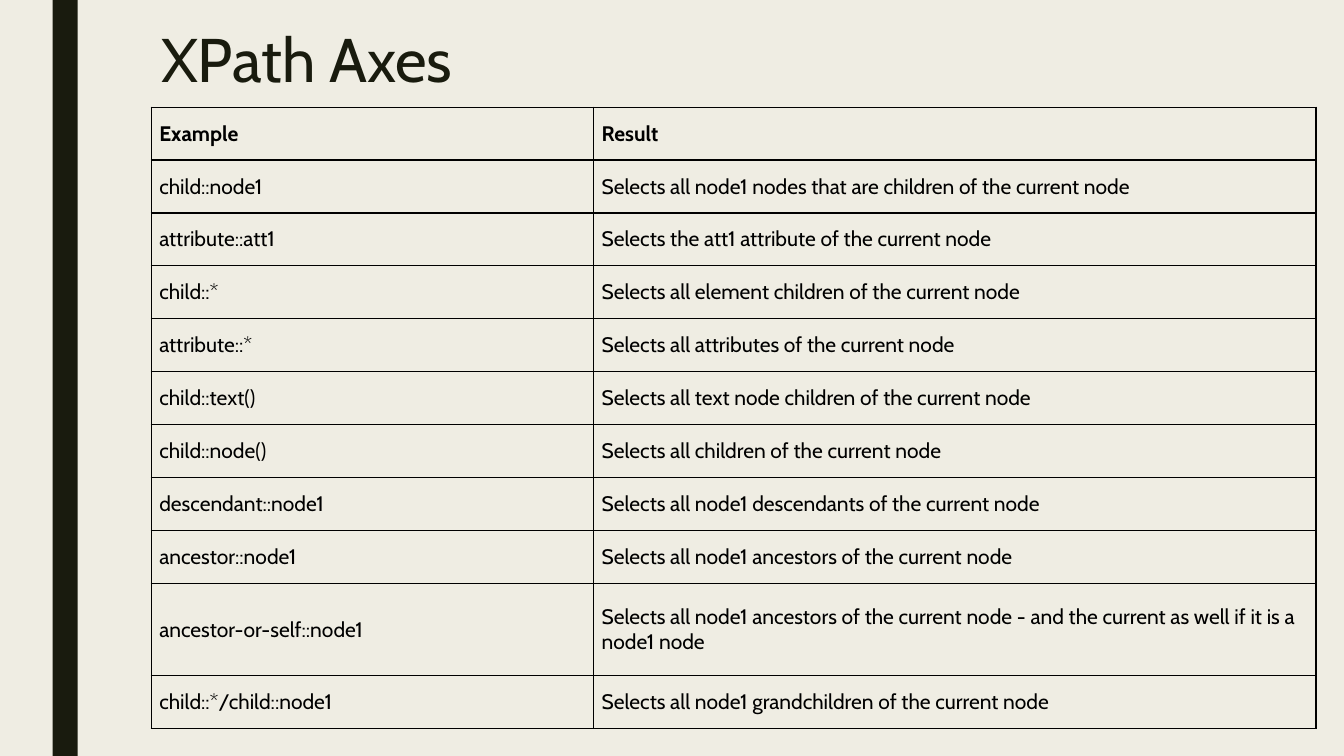
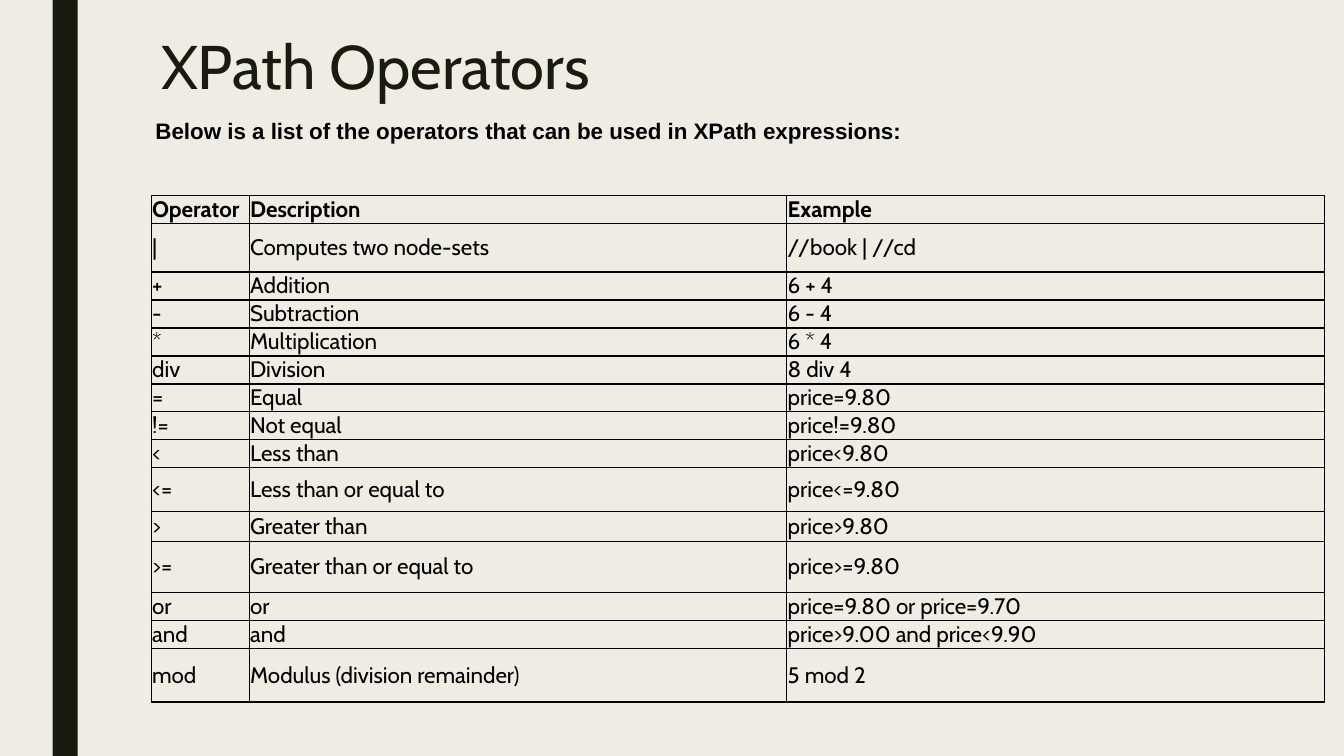
from lxml import etree
from pptx import Presentation
from pptx.dml.color import RGBColor
from pptx.enum.shapes import MSO_SHAPE
from pptx.enum.text import MSO_ANCHOR
from pptx.oxml.ns import qn
from pptx.util import Pt

RECT = MSO_SHAPE.RECTANGLE
TOP, MID = MSO_ANCHOR.TOP, MSO_ANCHOR.MIDDLE

# Shared look
WIDE, HIGH = 960, 540
PAPER, DARK, BLACK = "EFEDE3", "191B0E", "000000"
LEFT = 108
TITLE = {"name": "Cabin", "size": Pt(44), "bold": False}
NOTE = {"name": "Arial", "size": Pt(16), "bold": True}

# Content: "tall" lists the rows that differ from the usual height
AXES = {
    "title": "XPath Axes", "title_y": 18, "note": None,
    "top": 76.5, "cols": (316, 516), "row": 37.8, "tall": {9: 66.2},
    "size": 15, "pad": (5.8, 2.9),
    "rows": [
        ("Example", "Result"),
        ("child::node1", "Selects all node1 nodes that are children of the current node"),
        ("attribute::att1", "Selects the att1 attribute of the current node"),
        ("child::*", "Selects all element children of the current node"),
        ("attribute::*", "Selects all attributes of the current node"),
        ("child::text()", "Selects all text node children of the current node"),
        ("child::node()", "Selects all children of the current node"),
        ("descendant::node1", "Selects all node1 descendants of the current node"),
        ("ancestor::node1", "Selects all node1 ancestors of the current node"),
        ("ancestor-or-self::node1", "Selects all node1 ancestors of the current node"
         " - and the current as well if it is a node1 node"),
        ("child::*/child::node1", "Selects all node1 grandchildren of the current node"),
    ],
}
OPS = {
    "title": "XPath Operators", "title_y": 23,
    "note": "Below is a list of the operators that can be used in XPath expressions:",
    "top": 139.8, "cols": (70, 384, 384), "row": 20,
    "tall": {1: 34.5, 9: 31, 10: 21.5, 11: 36.5, 14: 38.3},
    "size": 16, "pad": (0.7, 0),
    "rows": [
        ("Operator", "Description", "Example"),
        ("|", "Computes two node-sets", "//book | //cd"),
        ("+", "Addition", "6 + 4"),
        ("-", "Subtraction", "6 - 4"),
        ("*", "Multiplication", "6 * 4"),
        ("div", "Division", "8 div 4"),
        ("=", "Equal", "price=9.80"),
        ("!=", "Not equal", "price!=9.80"),
        ("<", "Less than", "price<9.80"),
        ("<=", "Less than or equal to", "price<=9.80"),
        (">", "Greater than", "price>9.80"),
        (">=", "Greater than or equal to", "price>=9.80"),
        ("or", "or", "price=9.80 or price=9.70"),
        ("and", "and", "price>9.00 and price<9.90"),
        ("mod", "Modulus (division remainder)", "5 mod 2"),
    ],
}


def paint(fill, color):
    fill.solid()
    fill.fore_color.rgb = RGBColor.from_string(color)


def style(obj, form):
    for key, val in form.items():
        setattr(obj, key, val)


def write(para, text, form, color):
    run = para.add_run()
    run.text = text
    style(run.font, form)
    paint(run.font.fill, color)


def add_text(slide, box, text, form, color, anchor, space=1.0):
    frame = slide.shapes.add_textbox(*map(Pt, box)).text_frame
    style(frame, {"word_wrap": True, "vertical_anchor": anchor})
    para = frame.paragraphs[0]
    para.line_spacing = space
    write(para, text, form, color)


def frame_cell(cell):
    """Give a cell a clear fill and thin black edges."""
    cell.fill.background()
    props = cell._tc.get_or_add_tcPr()
    for spot, side in enumerate(("lnL", "lnR", "lnT", "lnB")):
        line = etree.Element(qn("a:" + side), w=str(Pt(1)))
        fill = etree.SubElement(line, qn("a:solidFill"))
        etree.SubElement(fill, qn("a:srgbClr"), val=BLACK)
        props.insert(spot, line)


def add_grid(slide, page):
    rows, cols = page["rows"], page["cols"]
    highs = [page["tall"].get(i, page["row"]) for i in range(len(rows))]
    box = LEFT, page["top"], sum(cols), sum(highs)
    grid = slide.shapes.add_table(len(rows), len(cols), *map(Pt, box)).table
    style(grid, {"first_row": False, "horz_banding": False})
    for col, wide in zip(grid.columns, cols):
        col.width = Pt(wide)
    side, edge = map(Pt, page["pad"])
    form = {"margin_left": side, "margin_right": side, "margin_top": edge,
            "margin_bottom": edge, "vertical_anchor": MID}
    for r, texts in enumerate(rows):
        grid.rows[r].height = Pt(highs[r])
        font = {"name": "Cabin", "size": Pt(page["size"]), "bold": r == 0}
        for c, text in enumerate(texts):
            cell = grid.cell(r, c)
            style(cell, form)
            frame_cell(cell)
            write(cell.text_frame.paragraphs[0], text, font, BLACK)


def set_master(master, slide):
    """Put the background and the side band on the master."""
    paint(master.background.fill, PAPER)
    band = slide.shapes.add_shape(RECT, Pt(37.5), 0, Pt(18), Pt(HIGH))
    band.shadow.inherit = False
    paint(band.fill, DARK)
    band.line.fill.background()
    master.shapes.element.insert(2, band.element)


def main():
    deck = Presentation()
    style(deck, {"slide_width": Pt(WIDE), "slide_height": Pt(HIGH)})
    for i, page in enumerate((AXES, OPS)):
        slide = deck.slides.add_slide(deck.slide_layouts[6])
        if i == 0:
            set_master(deck.slide_master, slide)
        add_text(slide, (LEFT, page["title_y"], 756, 54), page["title"],
                 TITLE, DARK, TOP, 0.89)
        add_grid(slide, page)
        if page["note"]:
            add_text(slide, (104, 80, 842, 27), page["note"], NOTE, BLACK, MID)
    deck.save("out.pptx")


if __name__ == "__main__":
    main()
